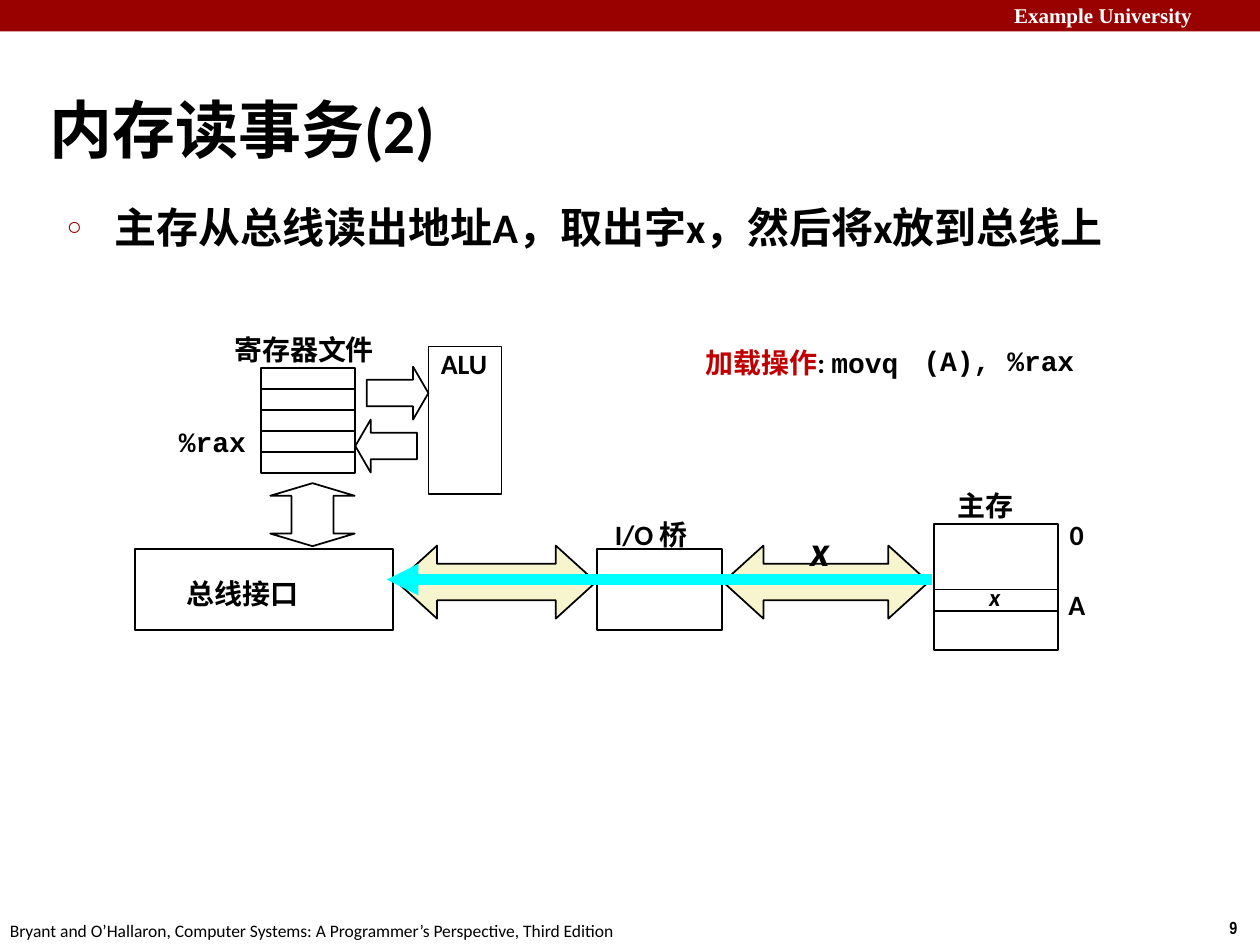
"""Builds the slide on the second step of a memory read transaction."""
import dataclasses
import typing

import lxml.etree
import pptx
import pptx.dml.color
import pptx.enum.shapes
import pptx.enum.text
import pptx.oxml
import pptx.oxml.ns
import pptx.util

COLUMNS, ROWS = 10, 7.5
CELL = pptx.util.Inches(1)
BLACK, WHITE, RED, CRIMSON = "000000", "FFFFFF", "990000", "C00000"
CREAM, CYAN = "F7F5CD", "00FFFF"
SANS, MONO, SERIF = "Calibri", "Courier New", "Times New Roman"
KINDS = pptx.enum.shapes.MSO_SHAPE
ANCHORS = pptx.enum.text.MSO_ANCHOR


@dataclasses.dataclass(frozen=True)
class Area:
    """Place and size in columns and rows of the grid."""
    column: float
    row: float
    width: float
    height: float

    def lengths(self) -> list[int]:
        """Return the four lengths for python-pptx."""
        return [round(CELL * part) for part in dataclasses.astuple(self)]


@dataclasses.dataclass(frozen=True)
class Span:
    """A stretch of text that differs in font or colour."""
    text: str
    font: str = SANS
    color: str = BLACK


@dataclasses.dataclass(frozen=True)
class Label:
    """A text box in one size."""
    area: Area
    spans: tuple[Span, ...]
    size: float = 16
    bold: bool = True
    italic: bool = False
    insets: tuple[float, float, float, float] = (0.01, 0, 0, 0)
    anchor: typing.Any = ANCHORS.TOP
    wrap: bool = True


@dataclasses.dataclass(frozen=True)
class Block:
    """A preset shape with its adjustments."""
    area: Area
    kind: typing.Any = KINDS.RECTANGLE
    fill: str = ""
    line: str = BLACK
    adjustments: tuple[float, ...] = ()
    rotation: float = 0


def paint(color: str) -> pptx.dml.color.RGBColor:
    """Turn a hex string into a colour."""
    return pptx.dml.color.RGBColor.from_string(color)


def style(font, label: Label, span: Span) -> None:
    """Set typeface, size, weight and colour of a font."""
    font.name, font.size = span.font, pptx.util.Pt(label.size)
    font.bold, font.italic = label.bold, label.italic
    font.color.rgb = paint(span.color)


def write(frame, label: Label):
    """Fill a text frame and return its paragraph."""
    frame.word_wrap = label.wrap
    frame.vertical_anchor = label.anchor
    (frame.margin_left, frame.margin_top, frame.margin_right,
     frame.margin_bottom) = [round(CELL * inset) for inset in label.insets]
    para = frame.paragraphs[0]
    para.alignment = pptx.enum.text.PP_ALIGN.LEFT
    style(para.font, label, label.spans[0])
    for span in label.spans:
        run = para.add_run()
        run.text = span.text
        style(run.font, label, span)
    return para


def draw_label(page, label: Label):
    """Add a text box and return its paragraph."""
    return write(page.shapes.add_textbox(*label.area.lengths()).text_frame, label)


def draw_block(page, block: Block):
    """Add a preset shape without shadow."""
    shape = page.shapes.add_shape(block.kind, *block.area.lengths())
    shape.shadow.inherit = False
    shape.rotation = block.rotation
    for place, value in enumerate(block.adjustments):
        shape.adjustments[place] = value
    if block.fill:
        shape.fill.solid()
        shape.fill.fore_color.rgb = paint(block.fill)
    else:
        shape.fill.background()
    if block.line:
        shape.line.color.rgb = paint(block.line)
        shape.line.width = pptx.util.Pt(1)
    else:
        shape.line.fill.background()
    return shape


def draw_signal(page, start: float, end: float, row: float) -> None:
    """Add the thick level arrow that carries the data."""
    ends = [round(CELL * part) for part in (start, row, end, row)]
    signal = page.shapes.add_connector(pptx.enum.shapes.MSO_CONNECTOR.STRAIGHT, *ends)
    signal.line.color.rgb = paint(CYAN)
    signal.line.width = pptx.util.Pt(6)
    tail = lxml.etree.SubElement(signal.line._get_or_add_ln(), pptx.oxml.ns.qn("a:tailEnd"))
    tail.set("type", "triangle")
    lxml.etree.SubElement(signal._element.spPr, pptx.oxml.ns.qn("a:effectLst"))


def add_bullet(para, margin: float, hanging: float) -> None:
    """Give a paragraph a small red ring as bullet."""
    properties = para._p.get_or_add_pPr()
    properties.set("marL", str(round(CELL * margin)))
    properties.set("indent", str(round(CELL * -hanging)))
    markup = ('<a:{} xmlns:a="http://schemas.openxmlformats.org/drawingml/2006/main"'
              '{}</a:{}>')
    default = properties.find(pptx.oxml.ns.qn("a:defRPr"))
    for name, body in (("buClr", f'><a:srgbClr val="{RED}"/>'),
                       ("buSzPct", ' val="60000">'),
                       ("buFont", f' typeface="{SERIF}">'),
                       ("buChar", ' char="○">')):
        default.addprevious(pptx.oxml.parse_xml(markup.format(name, body, name)))


def build() -> None:
    """Draw the whole slide and save it."""
    deck = pptx.Presentation()
    deck.slide_width, deck.slide_height = round(CELL * COLUMNS), round(CELL * ROWS)
    page = deck.slides.add_slide(deck.slide_layouts[6])
    usual = (0.1, 0.05, 0.1, 0.05)

    draw_block(page, Block(Area(0, 0, COLUMNS, 0.25), fill=RED, line=""))
    for label in (
        Label(Area(7.95, -0.03, 2.12, 0.3),
              (Span("Example University", SERIF, WHITE),), 12, insets=usual),
        Label(Area(9.66, 7.23, 0.34, 0.27), (Span("9", "Arial Narrow"),), 10,
              insets=usual, wrap=False),
        Label(Area(-0.02, 7.25, 5.09, 0.27),
              (Span("Bryant and O’Hallaron, Computer Systems: "
                    "A Programmer’s Perspective, Third Edition"),),
              10, bold=False, insets=usual, wrap=False),
        Label(Area(0.39, 0.47, 8.3, 0.85), (Span("内存读事务(2)"),), 36,
              insets=(0, 0.24, 0, 0), anchor=ANCHORS.MIDDLE),
    ):
        draw_label(page, label)
    message = Label(Area(0.52, 1.6, 8.43, 0.4),
                    (Span("主存从总线读出地址A，取出字x，然后将x放到总线上"),), 24,
                    insets=(0, 0, 0, 0))
    add_bullet(draw_label(page, message), 0.39, 0.38)

    bridge, interface = Area(4.74, 4.36, 0.99, 0.64), Area(1.07, 4.36, 2.05, 0.64)
    memory, word = Area(7.41, 4.16, 0.99, 1), Area(7.41, 4.68, 0.99, 0.17)
    registers = [Area(2.07, 2.92 + place / 6, 0.75, 1 / 6) for place in range(5)]
    double, thin = KINDS.LEFT_RIGHT_ARROW, (0.5, 0.29)
    for block in (
        Block(Area(5.74, 4.33, 1.63, 0.58), double, CREAM, adjustments=(0.5, 0.55)),
        Block(Area(3.15, 4.33, 1.58, 0.58), double, CREAM, adjustments=(0.5, 0.55)),
        Block(Area(2.91, 2.91, 0.49, 0.42), KINDS.RIGHT_ARROW, adjustments=thin),
        Block(Area(2.82, 3.33, 0.49, 0.42), KINDS.LEFT_ARROW, adjustments=thin),
        Block(Area(2.23, 3.75, 0.5, 0.67), double, adjustments=(0.5, 0.2), rotation=90),
        *map(Block, (bridge, interface, *registers)),
    ):
        draw_block(page, block)
    unit = Area(3.4, 2.75, 0.58, 1.17)
    write(draw_block(page, Block(unit)).text_frame,
          Label(unit, (Span("ALU"),), insets=(0.1, 0, 0, 0)))
    draw_signal(page, 7.4, 3.07, 4.6)
    for area in (memory, word):
        draw_block(page, Block(area))

    for label in (
        Label(Area(6.42, 4.16, 0.16, 0.4), (Span("x"),), 24, italic=True),
        Label(Area(7.84, 4.62, 0.12, 0.22), (Span("x"),), 14, italic=True),
        Label(Area(8.48, 4.11, 0.14, 0.25), (Span("0"),)),
        Label(Area(8.47, 4.66, 0.16, 0.25), (Span("A"),)),
        Label(Area(1.41, 3.37, 0.56, 0.25), (Span("%rax", MONO),)),
        Label(Area(5.59, 2.74, 2.07, 0.27),
              (Span("加载操作", color=CRIMSON), Span(": "), Span("movq", MONO))),
        Label(Area(7.32, 2.73, 1.3, 0.27), (Span("(A), %rax", MONO),)),
        Label(Area(1.85, 2.64, 1.22, 0.27), (Span("寄存器文件"),)),
        Label(Area(1.47, 4.58, 1.23, 0.27), (Span("总线接口"),)),
        Label(Area(7.59, 3.88, 0.61, 0.27), (Span("主存"),)),
        Label(Area(4.87, 4.11, 0.72, 0.27), (Span("I/O 桥"),)),
    ):
        draw_label(page, label)
    deck.save("out.pptx")


if __name__ == "__main__":
    build()
